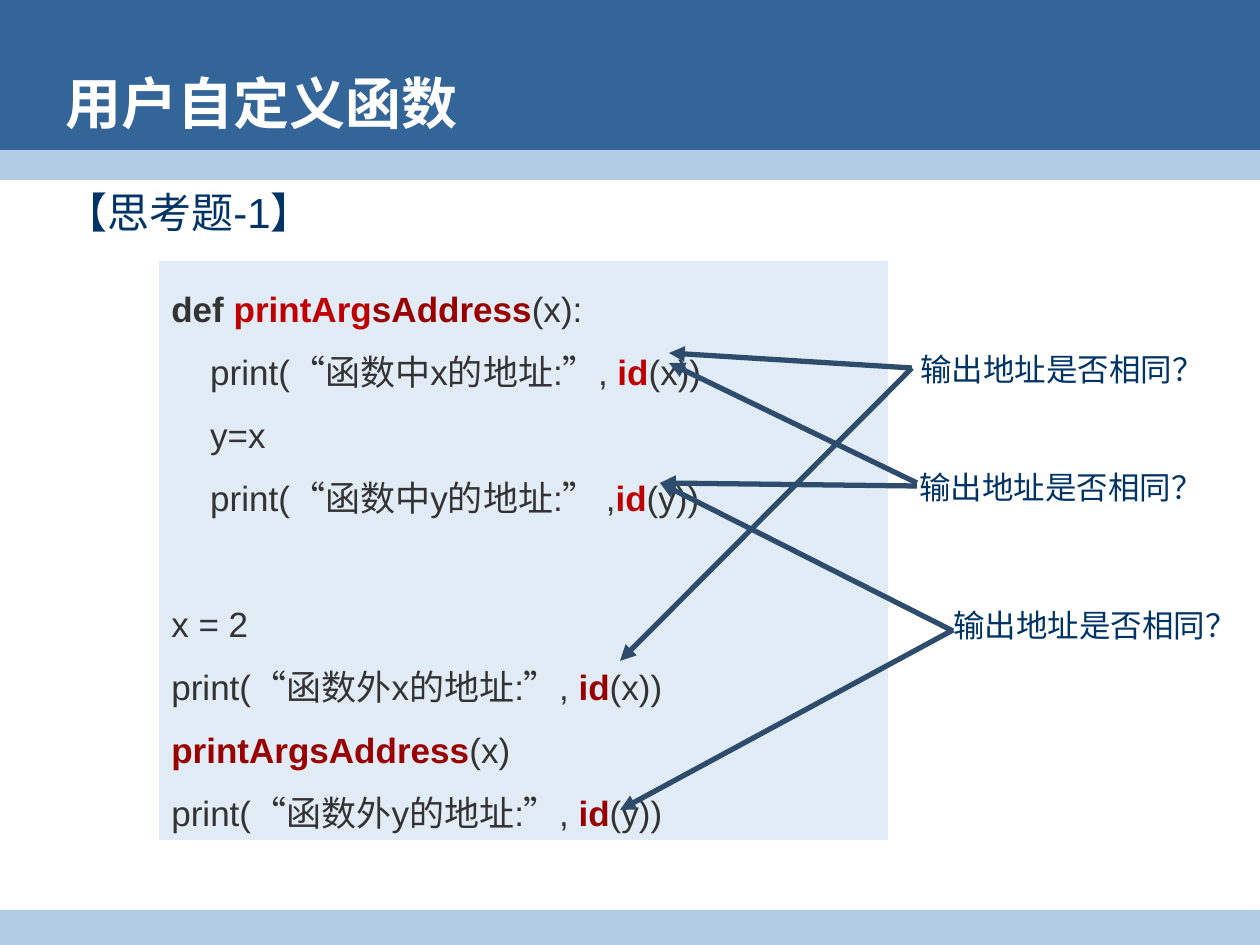
import dataclasses

import pptx
import pptx.dml.color
import pptx.enum.lang
import pptx.enum.shapes
import pptx.enum.text
import pptx.oxml
import pptx.oxml.ns
import pptx.util

PIXELS_PER_INCH = 126
SHAPE = pptx.enum.shapes.MSO_SHAPE
ANCHOR = pptx.enum.text.MSO_ANCHOR


@dataclasses.dataclass(frozen=True)
class Theme:
    font: str = "Arial"
    header: str = "336599"
    band: str = "B3CCE6"
    panel: str = "E2ECF6"
    navy: str = "003366"
    white: str = "FFFFFF"
    code: str = "333333"
    red: str = "C00000"
    dark_red: str = "990000"
    arrow: str = "2E4C6B"
    title_size: int = 32
    heading_size: int = 24
    code_size: int = 20
    note_size: int = 18
    arrow_width: int = 3
    code_spacing: float = 1.5
    blank_line: int = 36


THEME = Theme()

# Each line is a list of (text, colour); coloured text is bold.
PLAIN = THEME.code
CODE_LINES = [
    [("def ", "keyword"), ("printArg", THEME.red), ("sAddress", THEME.dark_red), ("(x):", PLAIN)],
    [("    print(“函数中x的地址:”, ", PLAIN), ("id", THEME.red), ("(x))", PLAIN)],
    [("    y=x", PLAIN)],
    [("    print(“函数中y的地址:” ,", PLAIN), ("id", THEME.red), ("(y))", PLAIN)],
    [("x = 2", PLAIN)],
    [("print(“函数外x的地址:”, ", PLAIN), ("id", THEME.dark_red), ("(x))", PLAIN)],
    [("printArgsAddress", THEME.dark_red), ("(x)", PLAIN)],
    [("print(“函数外y的地址:”, ", PLAIN), ("id", THEME.dark_red), ("(y))", PLAIN)],
]
MAIN_PROGRAM_START = 4

QUESTION = "输出地址是否相同？"
# Note box, then the (start, end) points of its two arrows.
QUESTIONS = [
    ((908, 344, 331, 50), [((912, 368), (669, 353)), ((912, 368), (620, 661))]),
    ((941, 600, 319, 50), [((953, 631), (660, 483)), ((953, 630), (620, 810))]),
    ((907, 462, 331, 50), [((917, 483), (669, 363)), ((917, 486), (660, 483))]),
]


def px(value):
    return pptx.util.Emu(round(value * 914400 / PIXELS_PER_INCH))


def rgb(value):
    return pptx.dml.color.RGBColor.from_string(value)


def add_run(paragraph, text, *, size, color, bold=False):
    run = paragraph.add_run()
    run.text = text
    run.font.name = THEME.font
    run.font.size = pptx.util.Pt(size)
    run.font.bold = bold
    run.font.color.rgb = rgb(color)
    run.font.language_id = pptx.enum.lang.MSO_LANGUAGE_ID.SIMPLIFIED_CHINESE


def add_text(shapes, box, text, *, size, color, bold=False, anchor=ANCHOR.TOP):
    frame = shapes.add_textbox(*map(px, box)).text_frame
    frame.word_wrap = True
    frame.vertical_anchor = anchor
    add_run(frame.paragraphs[0], text, size=size, color=color, bold=bold)


def add_block(shapes, box, fill, preset=SHAPE.RECTANGLE):
    shape = shapes.add_shape(preset, *map(px, box))
    shape.shadow.inherit = False
    shape.fill.solid()
    shape.fill.fore_color.rgb = rgb(fill)
    shape.line.fill.background()
    return shape


def add_code(shapes, box):
    frame = add_block(shapes, box, THEME.panel, SHAPE.FLOWCHART_PROCESS).text_frame
    frame.word_wrap = True
    frame.vertical_anchor = ANCHOR.MIDDLE
    for index, line in enumerate(CODE_LINES):
        paragraph = frame.add_paragraph() if index else frame.paragraphs[0]
        paragraph.alignment = pptx.enum.text.PP_ALIGN.LEFT
        paragraph.line_spacing = THEME.code_spacing
        if index == MAIN_PROGRAM_START:
            paragraph.space_before = pptx.util.Pt(THEME.blank_line)
        for text, color in line:
            add_run(paragraph, text, size=THEME.code_size, bold=color != PLAIN,
                    color=PLAIN if color == "keyword" else color)


def add_arrow(shapes, start, end):
    connector = shapes.add_connector(
        pptx.enum.shapes.MSO_CONNECTOR.STRAIGHT, *map(px, start + end))
    connector.line.color.rgb = rgb(THEME.arrow)
    connector.line.width = pptx.util.Pt(THEME.arrow_width)
    line = connector.line._get_or_add_ln()
    tail = pptx.oxml.parse_xml(
        f'<a:tailEnd {pptx.oxml.ns.nsdecls("a")} type="triangle"/>')
    line.append(tail)
    effects = pptx.oxml.parse_xml(f'<a:effectLst {pptx.oxml.ns.nsdecls("a")}/>')
    line.addnext(effects)


def add_question(shapes, box, arrows):
    group = shapes.add_group_shape()
    for start, end in arrows:
        add_arrow(group.shapes, start, end)
    add_text(group.shapes, box, QUESTION, size=THEME.note_size, color=THEME.navy)


def main():
    presentation = pptx.Presentation()
    presentation.slide_width = px(1260)
    presentation.slide_height = px(945)
    shapes = presentation.slides.add_slide(presentation.slide_layouts[6]).shapes

    add_block(shapes, (0, 0, 1260, 165), THEME.header)
    add_block(shapes, (0, 150, 1260, 30), THEME.band)
    add_block(shapes, (0, 910, 1260, 35), THEME.band)
    add_text(shapes, (53, 180, 1194, 70), "【思考题-1】",
             size=THEME.heading_size, color=THEME.navy)
    add_text(shapes, (53, 66, 1142, 73), "用户自定义函数",
             size=THEME.title_size, color=THEME.white, bold=True, anchor=ANCHOR.MIDDLE)
    add_code(shapes, (159, 261, 729, 579))
    for box, arrows in QUESTIONS:
        add_question(shapes, box, arrows)

    presentation.save("out.pptx")


if __name__ == "__main__":
    main()
